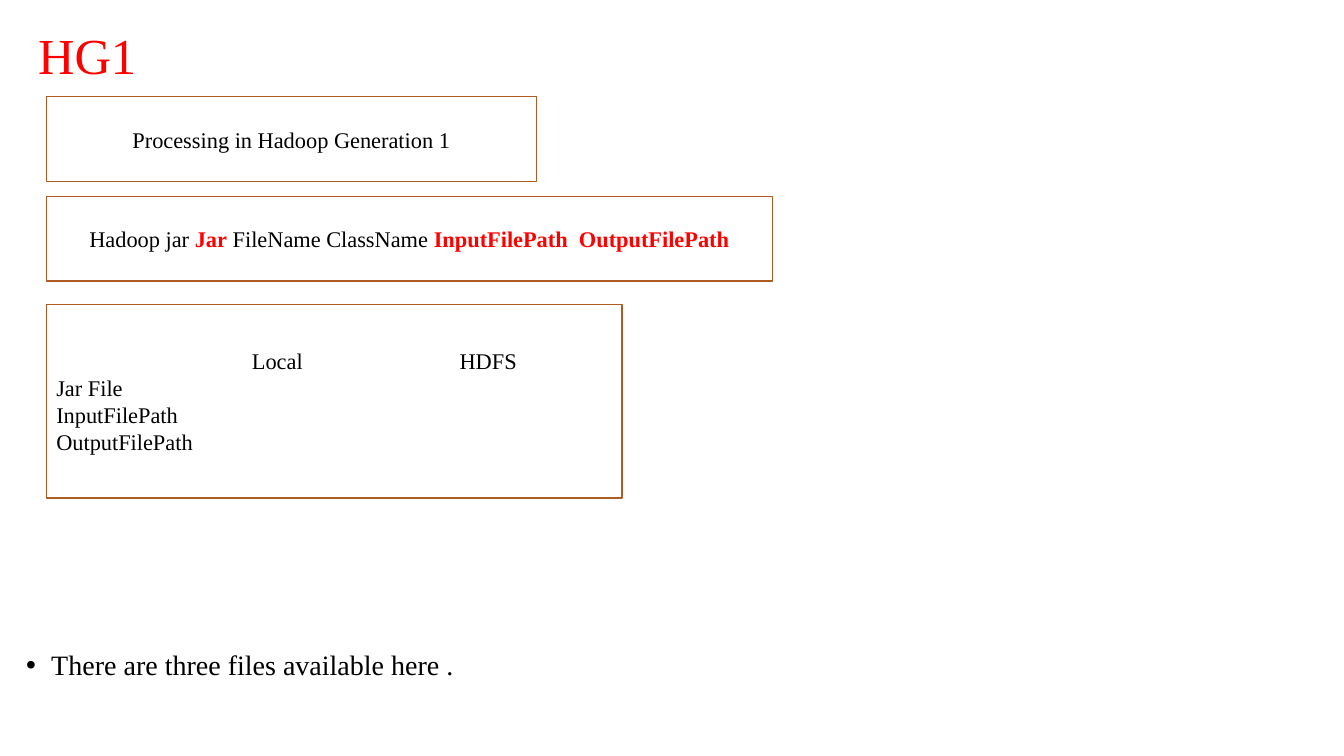
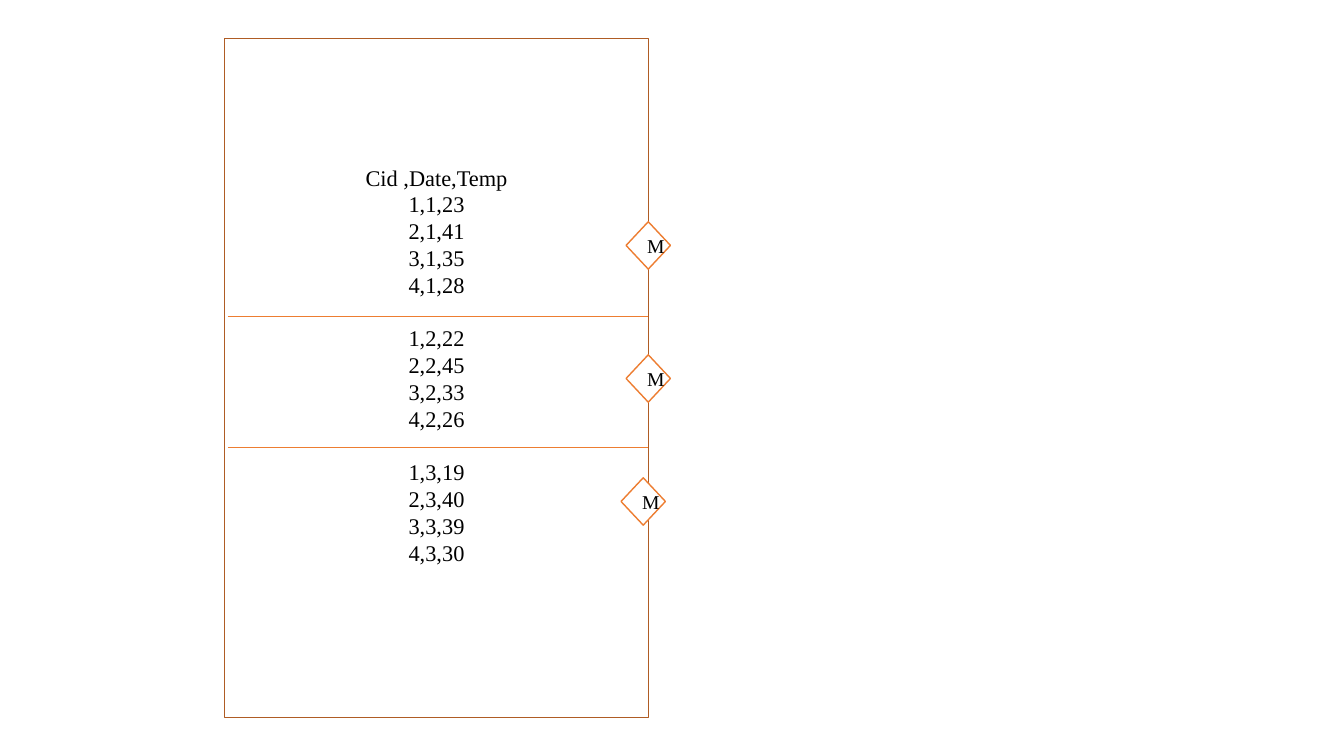
from dataclasses import dataclass

from lxml import etree
from pptx import Presentation
from pptx import util as u
from pptx.dml.color import RGBColor
from pptx.enum import shapes, text
from pptx.oxml.ns import qn

FONT = "Times New Roman"
BLACK, RED, WHITE = "000000", "FF0000", "FFFFFF"
BROWN, ORANGE = "AF5C24", "ED7D31"
LEFT, MID = text.PP_ALIGN.LEFT, text.PP_ALIGN.CENTER
RECT, GEM = shapes.MSO_SHAPE.RECTANGLE, shapes.MSO_SHAPE.DIAMOND


@dataclass(frozen=True)
class Area:
    x: float
    y: float
    w: float
    h: float

    def place(self) -> list:
        return [u.Inches(n) for n in (self.x, self.y, self.w, self.h)]


@dataclass(frozen=True)
class Run:
    words: str
    color: str = BLACK
    bold: bool = False


def paint(code: str) -> RGBColor:
    return RGBColor.from_string(code)


def write(frame, rows: list, *, size: float = 16, align=MID, mid: bool = True,
          lead: float = 1, bullet: bool = False, tabs: tuple = (),
          gaps: tuple = (), gap: float = 0) -> None:
    frame.word_wrap = True
    frame.vertical_anchor = text.MSO_ANCHOR.MIDDLE if mid else text.MSO_ANCHOR.TOP
    for i, row in enumerate(rows):
        para = frame.add_paragraph() if i else frame.paragraphs[0]
        props = para._p.get_or_add_pPr()
        if bullet:
            props.set("marL", str(u.Inches(0.25)))
            props.set("indent", str(u.Inches(-0.25)))
            etree.SubElement(props, qn("a:buFont"), typeface="Arial")
            etree.SubElement(props, qn("a:buChar"), char="•")
        if tabs:
            stops = etree.SubElement(props, qn("a:tabLst"))
            for stop in tabs:
                etree.SubElement(stops, qn("a:tab"), pos=str(u.Inches(stop)), algn="l")
        para.alignment = align
        para.line_spacing = lead
        if i in gaps:
            para.space_before = u.Pt(gap)
        for part in [Run(row)] if isinstance(row, str) else row:
            run = para.add_run()
            run.text = part.words
            font = run.font
            font.name, font.size, font.bold = FONT, u.Pt(size), part.bold
            font.color.rgb = paint(part.color)


def label(slide, area: Area, rows: list, **style) -> None:
    box = slide.shapes.add_textbox(*area.place())
    write(box.text_frame, rows, align=LEFT, lead=0.9, **style)


def panel(slide, area: Area, rows: list, kind=RECT, edge: str = BROWN, **style):
    shape = slide.shapes.add_shape(kind, *area.place())
    shape.shadow.inherit = False
    shape.fill.solid()
    shape.fill.fore_color.rgb = paint(WHITE)
    shape.line.color.rgb = paint(edge)
    shape.line.width = u.Pt(1)
    write(shape.text_frame, rows, **style)
    return shape


def rule(slide, x: float, end: float, y: float) -> None:
    line = slide.shapes.add_connector(
        shapes.MSO_CONNECTOR.STRAIGHT,
        u.Inches(x), u.Inches(y), u.Inches(end), u.Inches(y))
    line.line.color.rgb = paint(ORANGE)
    line.line.width = u.Pt(0.5)
    etree.SubElement(line._element.spPr, qn("a:effectLst"))


def jobs(slide) -> None:
    label(slide, Area(0.28, 0.16, 12.74, 0.84), [[Run("HG1", RED)]], size=36)
    label(slide, Area(0.16, 6.41, 12.98, 0.9),
          ["There are three files available here ."],
          size=20, mid=False, bullet=True)
    panel(slide, Area(0.46, 0.96, 4.86, 0.84), ["Processing in Hadoop Generation 1"])
    panel(slide, Area(0.46, 1.95, 7.2, 0.84), [[
        Run("Hadoop jar "), Run("Jar", RED, True), Run(" FileName ClassName "),
        Run("InputFilePath  OutputFilePath", RED, True)]])
    panel(slide, Area(0.46, 3.02, 5.71, 1.92),
          ["\tLocal\tHDFS", "Jar File", "InputFilePath", "OutputFilePath"],
          align=LEFT, tabs=(1.94, 4))


def maps(slide) -> None:
    temps = [(23, 41, 35, 28), (22, 45, 33, 26), (19, 40, 39, 30)]
    rows = ["Cid ,Date,Temp"]
    rows += [f"{cid},{day},{temp}" for day, group in enumerate(temps, 1)
             for cid, temp in enumerate(group, 1)]
    sheet = panel(slide, Area(2.23, 0.38, 4.2, 6.74), rows, gaps=(5, 9), gap=19)
    sheet.text_frame.margin_bottom = u.Inches(0.31)
    for y in (3.14, 4.44):
        rule(slide, 2.26, 6.43, y)
    for x, y in ((6.21, 2.2), (6.21, 3.52), (6.16, 4.74)):
        panel(slide, Area(x, y, 0.44, 0.47), ["M"], GEM, ORANGE, size=14)


def main() -> None:
    deck = Presentation()
    deck.slide_width, deck.slide_height = u.Inches(13.33), u.Inches(7.5)
    for draw in (jobs, maps):
        draw(deck.slides.add_slide(deck.slide_layouts[6]))
    deck.save("out.pptx")


if __name__ == "__main__":
    main()
